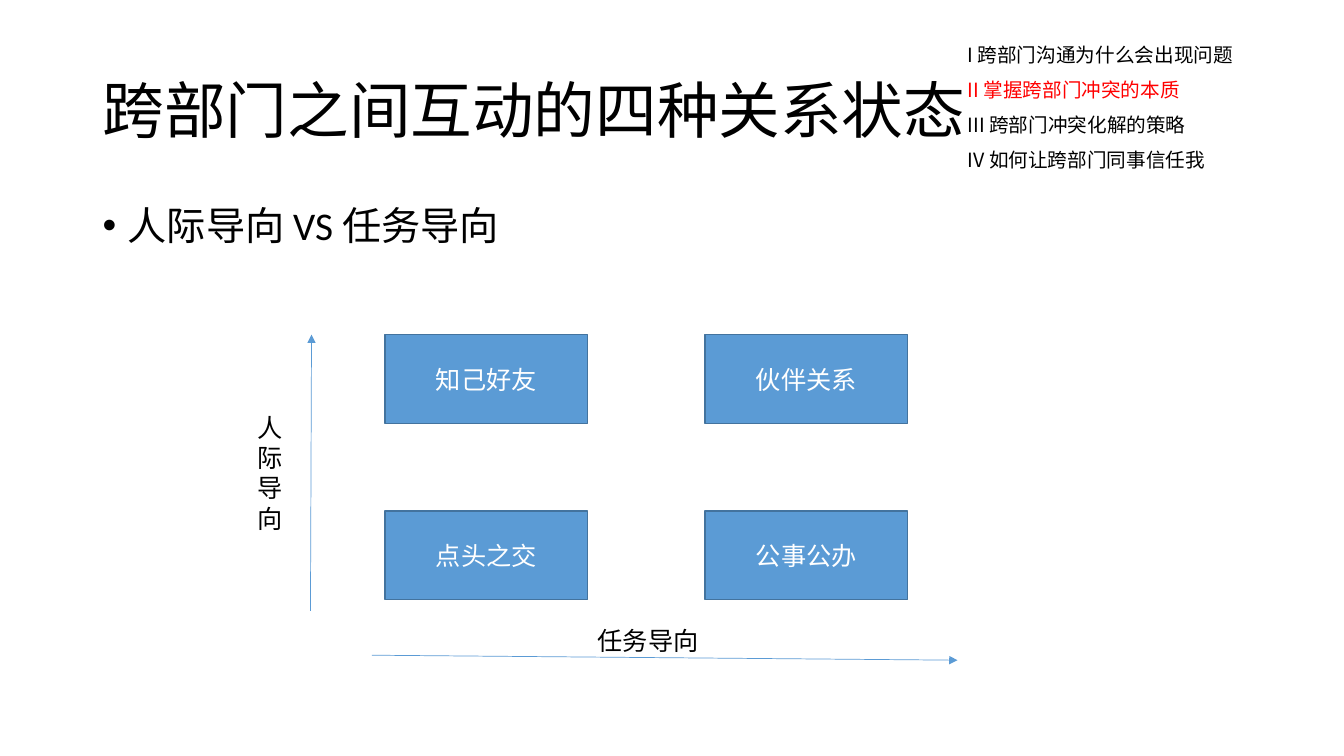
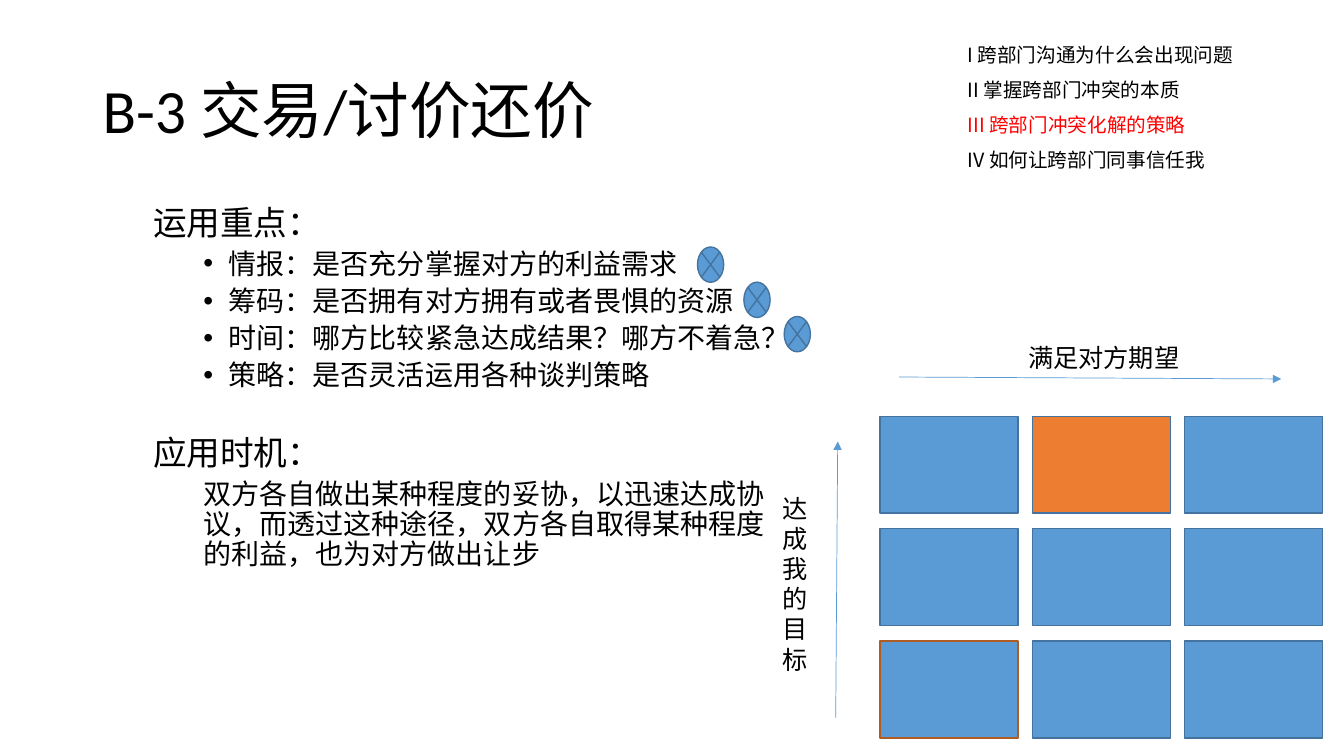
from itertools import product

from lxml.etree import SubElement
from pptx import Presentation
from pptx.dml.color import RGBColor
from pptx.enum.shapes import MSO_CONNECTOR as Connector, MSO_SHAPE as Shape
from pptx.enum.text import MSO_ANCHOR as Anchor, PP_ALIGN as Align
from pptx.oxml.ns import qn
from pptx.util import Inches, Pt

WIDTH, HEIGHT = Inches(13.33), Inches(7.5)
COLORS = {
    "text": "000000",
    "current": "FF0000",
    "white": "FFFFFF",
    "blue": "5B9BD5",
    "outline": "43739E",
    "orange": "ED7D31",
    "rust": "AF5C24",
}
LATIN, CHINESE = "Calibri", "Noto Sans CJK SC"

# Boxes are left, top, width and height in hundredths of the slide.
TITLE_BOX = (6.9, 5.33, 86.25, 19.33)
AGENDA_BOX = (71.25, 5.33, 23.5, 21.33)
AGENDA = (
    "I 跨部门沟通为什么会出现问题",
    "II 掌握跨部门冲突的本质",
    "III 跨部门冲突化解的策略",
    "IV 如何让跨部门同事信任我",
)

# Indents are in inches, sizes and spacing in points.
TITLE = {"size": 44, "spacing": 0.9}
AGENDA_ITEM = {"size": 14, "spacing": 0.9, "before": 10, "font": CHINESE}
TOPIC = {"size": 28, "spacing": 0.9, "before": 10,
         "left": 0.25, "hanging": 0.25, "bullet": "•"}
HEADING = {"size": 24, "spacing": 0.9, "before": 5, "left": 0.5}
LATER_HEADING = {**HEADING, "before": 32}
POINT = {"size": 20, "spacing": 0.9, "before": 5,
         "left": 1.25, "hanging": 0.25, "bullet": "•"}
DETAIL = {"size": 20, "spacing": 0.9, "before": 5, "left": 1}
LABEL = {"size": 18}
BOX_LABEL = {"size": 18, "color": "white", "align": Align.CENTER}


def rgb(name):
    return RGBColor.from_string(COLORS[name])


def across(share):
    return round(WIDTH * share / 100)


def down(share):
    return round(HEIGHT * share / 100)


def place(box):
    left, top, width, height = box
    return across(left), down(top), across(width), down(height)


def apply_formats(target, formats):
    for name, value in formats.items():
        setattr(target, name, value)


def write_paragraph(paragraph, text, style):
    apply_formats(paragraph, {
        "alignment": style.get("align", Align.LEFT),
        "line_spacing": style.get("spacing", 1.0),
        "space_before": Pt(style.get("before", 0)),
    })
    properties = paragraph._p.get_or_add_pPr()
    properties.set("marL", str(Inches(style.get("left", 0))))
    properties.set("indent", str(-Inches(style.get("hanging", 0))))
    if "bullet" in style:
        SubElement(properties, qn("a:buFont"), typeface="Arial")
        SubElement(properties, qn("a:buChar"), char=style["bullet"])

    run = paragraph.add_run()
    run.text = text
    apply_formats(run.font, {"size": Pt(style["size"]),
                             "name": style.get("font", LATIN)})
    run.font.color.rgb = rgb(style.get("color", "text"))
    SubElement(run._r.get_or_add_rPr(), qn("a:ea"), typeface=CHINESE)


def add_text(slide, box, lines, anchor=Anchor.TOP):
    """Add a text box from pairs of text and style, one per paragraph."""
    frame = slide.shapes.add_textbox(*place(box)).text_frame
    apply_formats(frame, {"word_wrap": True, "vertical_anchor": anchor})
    for index, (text, style) in enumerate(lines):
        paragraph = frame.add_paragraph() if index else frame.paragraphs[0]
        write_paragraph(paragraph, text, style)


def add_figure(slide, kind, box, fill="blue", outline="outline", text=None):
    shape = slide.shapes.add_shape(kind, *place(box))
    shape.shadow.inherit = False
    shape.fill.solid()
    shape.fill.fore_color.rgb = rgb(fill)
    shape.line.color.rgb = rgb(outline)
    shape.line.width = Pt(1)
    if text:
        shape.text_frame.vertical_anchor = Anchor.MIDDLE
        write_paragraph(shape.text_frame.paragraphs[0], text, BOX_LABEL)


def add_axis(slide, start, end, label, label_box):
    """Add an arrow from start to end with its label."""
    axis = slide.shapes.add_connector(
        Connector.STRAIGHT, across(start[0]), down(start[1]),
        across(end[0]), down(end[1]))
    axis.line.color.rgb = rgb("blue")
    axis.line.width = Pt(0.5)
    SubElement(axis.line._get_or_add_ln(), qn("a:tailEnd"), type="triangle")
    SubElement(axis._element.spPr, qn("a:effectLst"))
    add_text(slide, label_box, [(label, LABEL)])


def grid_boxes(first, step, rows, columns):
    """Yield row, column and box for each cell, row by row."""
    left, top, width, height = first
    for row, column in product(range(rows), range(columns)):
        yield row, column, (left + column * step[0], top + row * step[1],
                            width, height)


def add_topic_slide(presentation, title, current):
    """Add a slide with its title and the agenda, the current part in red."""
    slide = presentation.slides.add_slide(presentation.slide_layouts[6])
    add_text(slide, TITLE_BOX, [(title, TITLE)], Anchor.MIDDLE)
    add_text(slide, AGENDA_BOX, [
        (item, {**AGENDA_ITEM, "color": "current" if part == current else "text"})
        for part, item in enumerate(AGENDA, 1)])
    return slide


def build_relations(presentation):
    slide = add_topic_slide(presentation, "跨部门之间互动的四种关系状态", 2)
    add_text(slide, (6.9, 26.67, 86.25, 63.47),
             [("人际导向 VS 任务导向", TOPIC)])
    relations = (("知己好友", "伙伴关系"), ("点头之交", "公事公办"))
    for row, column, box in grid_boxes((28.65, 44.27, 15.08, 11.73),
                                       (23.8, 23.33), 2, 2):
        add_figure(slide, Shape.RECTANGLE, box, text=relations[row][column])
    add_axis(slide, (27.68, 86.67), (71.25, 87.33),
             "任务导向", (43.73, 82, 19.58, 5.33))
    add_axis(slide, (23.1, 80.8), (23.18, 44.27),
             "人际导向", (18.45, 53.87, 3.68, 17.47))


def build_bargaining(presentation):
    slide = add_topic_slide(presentation, "B-3 交易/讨价还价", 3)
    add_text(slide, (6.9, 26.67, 52.12, 63.47), [
        ("运用重点：", HEADING),
        ("情报：是否充分掌握对方的利益需求", POINT),
        ("筹码：是否拥有对方拥有或者畏惧的资源", POINT),
        ("时间：哪方比较紧急达成结果？哪方不着急？", POINT),
        ("策略：是否灵活运用各种谈判策略", POINT),
        ("应用时机：", LATER_HEADING),
        ("双方各自做出某种程度的妥协，以迅速达成协议，而透过这种途径，"
         "双方各自取得某种程度的利益，也为对方做出让步", DETAIL),
    ])
    add_axis(slide, (66.9, 49.87), (95.33, 50.13),
             "满足对方期望", (75.75, 44.67, 19.58, 5.33))
    add_axis(slide, (62.18, 94.93), (62.33, 58.4),
             "达成我的目标", (57.45, 64.53, 3.68, 25.6))
    accents = {(0, 1): {"fill": "orange"}, (2, 0): {"outline": "rust"}}
    for row, column, box in grid_boxes((65.48, 55.07, 10.28, 12.8),
                                       (11.33, 14.87), 3, 3):
        add_figure(slide, Shape.RECTANGLE, box, **accents.get((row, column), {}))
    for left, top in ((51.9, 32.67), (55.35, 37.33), (58.35, 41.87)):
        add_figure(slide, Shape.FLOWCHART_SUMMING_JUNCTION,
                   (left, top, 1.95, 4.67))


def main():
    presentation = Presentation()
    apply_formats(presentation, {"slide_width": WIDTH, "slide_height": HEIGHT})
    build_relations(presentation)
    build_bargaining(presentation)
    presentation.save("out.pptx")


if __name__ == "__main__":
    main()
